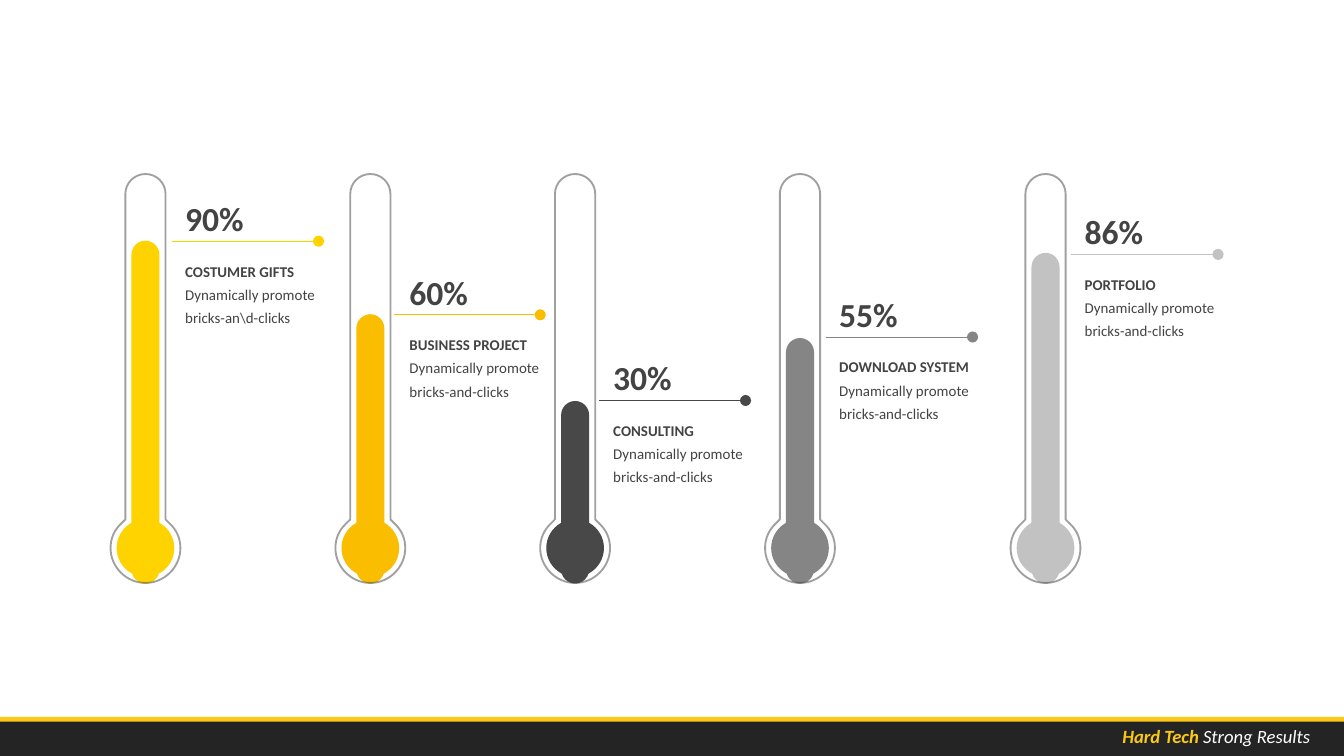
"""Build a slide of five thermometers with percentages and captions."""
from dataclasses import dataclass

from lxml import etree
from pptx import Presentation
from pptx import util as u
from pptx.dml.color import RGBColor
from pptx.enum import shapes, text
from pptx.oxml import ns

YELLOW = RGBColor(0xFF, 0xD3, 0x00)
AMBER = RGBColor(0xFB, 0xBD, 0x00)
CHARCOAL = RGBColor(0x48, 0x48, 0x48)
GRAY = RGBColor(0x85, 0x85, 0x85)
SILVER = RGBColor(0xC2, 0xC2, 0xC2)
INK = RGBColor(0x43, 0x43, 0x43)
GOLD = RGBColor(0xFA, 0xC9, 0x18)
BLACK = RGBColor(0x24, 0x24, 0x24)
WHITE = RGBColor(0xFF, 0xFF, 0xFF)

WIDTH, HEIGHT = 25.4, 14.29
BULB_Y, TUBE_BOTTOM = 10.36, 11.03
TUBE_WIDTH, BULB_SIZE = 0.53, 1.09
LEADER_LENGTH = 2.77
RIGHT_SIDE = (
    (0, -7.07), (0.21, -7.07), (0.38, -6.9), (0.38, -6.69),
    (0.38, -0.54), (0.46, -0.46),
    (0.59, -0.34), (0.66, -0.18), (0.66, 0),
    (0.66, 0.36), (0.36, 0.66), (0, 0.66),
)
SIDE_STEPS = (3, 1, 1, 3, 3)


@dataclass(frozen=True)
class Thermometer:
    center: float
    level: float
    leader_y: float
    leader_x: float
    text_x: float
    color: RGBColor
    percent: str
    heading: str
    detail: str = "Dynamically promote bricks-and-clicks"


THERMOMETERS = (
    Thermometer(2.75, 4.55, 4.56, 3.25, 3.25, YELLOW, "90%", "COSTUMER GIFTS",
                "Dynamically promote bricks-an\\d-clicks"),
    Thermometer(7, 5.94, 5.95, 7.44, 7.49, AMBER, "60%", "BUSINESS PROJECT"),
    Thermometer(10.87, 7.58, 7.57, 11.32, 11.34, CHARCOAL, "30%", "CONSULTING"),
    Thermometer(15.12, 6.39, 6.37, 15.61, 15.61, GRAY, "55%", "DOWNLOAD SYSTEM"),
    Thermometer(19.76, 4.78, 4.81, 20.25, 20.25, SILVER, "86%", "PORTFOLIO"),
)


def apply_format(target, values: dict) -> None:
    for name, value in values.items():
        setattr(target, name, value)


def add_solid(page, kind, left: float, top: float, width: float, height: float,
              color: RGBColor):
    shape = page.shapes.add_shape(
        kind, u.Cm(left), u.Cm(top), u.Cm(width), u.Cm(height))
    shape.fill.solid()
    shape.fill.fore_color.rgb = color
    shape.line.fill.background()
    shape.shadow.inherit = False
    return shape


def add_box(page, left: float, top: float, width: float, height: float,
            wrap: bool = True):
    box = page.shapes.add_textbox(
        u.Cm(left), u.Cm(top), u.Cm(width), u.Cm(height))
    apply_format(box.text_frame, {
        "word_wrap": wrap, "auto_size": text.MSO_AUTO_SIZE.SHAPE_TO_FIT_TEXT})
    return box


def add_span(para, words: str, size: float, color: RGBColor, bold: bool,
             italic: bool = False) -> None:
    span = para.add_run()
    span.text = words
    apply_format(span.font, {
        "name": "Calibri", "size": u.Pt(size), "bold": bold, "italic": italic})
    span.font.color.rgb = color


def bend_segments(shape, steps: tuple) -> None:
    """Turn each run of three line segments into one Bézier curve."""
    segments = iter(list(shape._element.iter(ns.qn("a:lnTo"))))
    for step in steps:
        group = [next(segments) for _ in range(step)]
        if step == 3:
            group[0].tag = ns.qn("a:cubicBezTo")
            for segment in group[1:]:
                group[0].append(segment[0])
                segment.getparent().remove(segment)


def add_glass(page, center: float) -> None:
    left_side = [(-x, y) for x, y in reversed(RIGHT_SIDE[:-1])]
    points = [(u.Cm(center + x), u.Cm(BULB_Y + y))
              for x, y in (*RIGHT_SIDE, *left_side)]
    builder = page.shapes.build_freeform(*points[0])
    builder.add_line_segments(points[1:], close=True)
    glass = builder.convert_to_shape()
    bend_segments(glass, SIDE_STEPS + SIDE_STEPS[::-1])
    glass.fill.background()
    glass.line.width = u.Pt(1)
    glass.line.color.rgb = INK
    glass.shadow.inherit = False
    color = glass.line._get_or_add_ln().find(".//" + ns.qn("a:srgbClr"))
    etree.SubElement(color, ns.qn("a:alpha"), val="50000")


def add_leader(page, left: float, top: float, color: RGBColor) -> None:
    leader = page.shapes.add_connector(
        shapes.MSO_CONNECTOR.STRAIGHT, u.Cm(left), u.Cm(top),
        u.Cm(left + LEADER_LENGTH), u.Cm(top))
    leader.line.width = u.Pt(0.5)
    leader.line.color.rgb = color
    etree.SubElement(leader.line._get_or_add_ln(), ns.qn("a:tailEnd"), type="oval")
    etree.SubElement(leader._element.spPr, ns.qn("a:effectLst"))


def add_caption(page, item: Thermometer) -> None:
    box = add_box(page, item.text_x, item.leader_y + 0.17, 2.97, 1.55)
    first = box.text_frame.paragraphs[0]
    second = box.text_frame.add_paragraph()
    for para, words, bold in ((first, item.heading, True),
                              (second, item.detail, False)):
        para.line_spacing = 1.3
        add_span(para, words, 8, INK, bold)
    box = add_box(page, item.text_x, item.leader_y - 0.94, 1.63, 1.02, wrap=False)
    add_span(box.text_frame.paragraphs[0], item.percent, 18, INK, True)


def add_thermometer(page, item: Thermometer) -> None:
    tube = add_solid(page, shapes.MSO_SHAPE.ROUNDED_RECTANGLE,
                     item.center - TUBE_WIDTH / 2, item.level, TUBE_WIDTH,
                     TUBE_BOTTOM - item.level, item.color)
    tube.adjustments[0] = 0.5
    add_solid(page, shapes.MSO_SHAPE.OVAL, item.center - BULB_SIZE / 2,
              BULB_Y - BULB_SIZE / 2, BULB_SIZE, BULB_SIZE, item.color)
    add_glass(page, item.center)
    add_leader(page, item.leader_x, item.leader_y, item.color)
    add_caption(page, item)


def add_footer(page) -> None:
    for top, color in ((13.55, GOLD), (13.64, BLACK)):
        add_solid(page, shapes.MSO_SHAPE.RECTANGLE, 0, top, WIDTH, 0.65, color)
    box = add_box(page, 20.36, 13.58, 4.65, 0.69)
    para = box.text_frame.paragraphs[0]
    para.alignment = text.PP_ALIGN.RIGHT
    add_span(para, "Hard Tech ", 10, GOLD, True, True)
    add_span(para, "Strong Results", 10, WHITE, False, True)


def main() -> None:
    deck = Presentation()
    apply_format(deck, {"slide_width": u.Cm(WIDTH), "slide_height": u.Cm(HEIGHT)})
    page = deck.slides.add_slide(deck.slide_layouts[6])
    add_footer(page)
    for item in THERMOMETERS:
        add_thermometer(page, item)
    deck.save("out.pptx")


if __name__ == "__main__":
    main()
